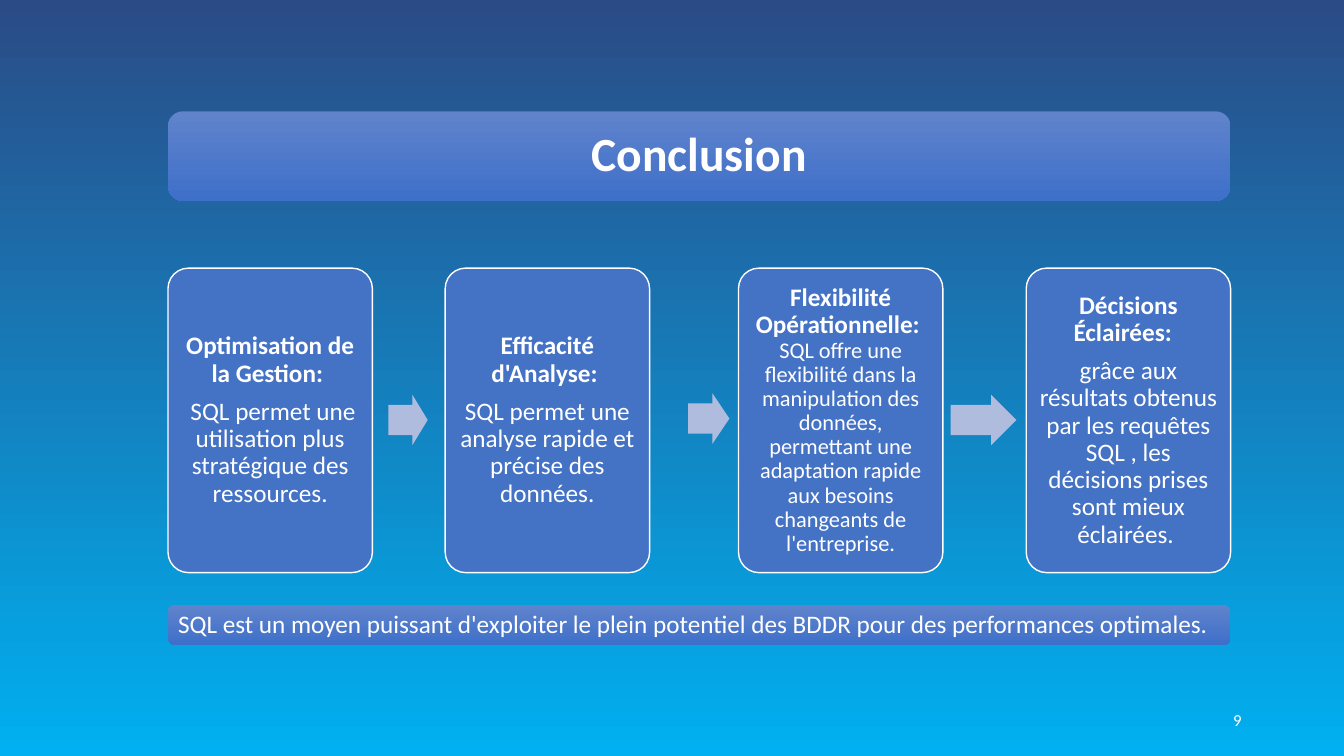
from pptx import Presentation
from pptx.dml.color import RGBColor
from pptx.enum.shapes import MSO_SHAPE
from pptx.enum.text import MSO_ANCHOR, PP_ALIGN
from pptx.util import Pt

ROUNDED = MSO_SHAPE.ROUNDED_RECTANGLE
RIGHT_ARROW = MSO_SHAPE.RIGHT_ARROW
MIDDLE = MSO_ANCHOR.MIDDLE
LEFT, CENTER, RIGHT = PP_ALIGN.LEFT, PP_ALIGN.CENTER, PP_ALIGN.RIGHT

WHITE = RGBColor(0xFF, 0xFF, 0xFF)
NAVY = RGBColor(0x2A, 0x4B, 0x86)
SKY = RGBColor(0x00, 0xB0, 0xF0)
BAR_TOP = RGBColor(0x60, 0x83, 0xCB)
BAR_BOTTOM = RGBColor(0x3E, 0x70, 0xCA)
CARD_BLUE = RGBColor(0x44, 0x72, 0xC4)
ARROW_BLUE = RGBColor(0xB0, 0xBC, 0xDE)

FONT = "Calibri"
MARGIN, BAR_WIDTH = 120, 759
CARD_TOP, CARD_WIDTH, CARD_HEIGHT = 191.5, 146, 217.5
ARROW_HEIGHT = 36

CARDS = [
    (120, [[("Optimisation de la Gestion: ", 18, True)],
           [(" SQL permet une utilisation plus stratégique des ressources.", 18, False)]]),
    (318, [[("Efficacité d'Analyse: ", 18, True)],
           [("SQL permet une analyse rapide et précise des données.", 18, False)]]),
    (527.5, [[("Flexibilité Opérationnelle:  ", 18, True),
              ("SQL offre une flexibilité dans la manipulation des données, "
               "permettant une adaptation rapide aux besoins changeants de "
               "l'entreprise.", 16, False)]]),
    (733, [[("Décisions Éclairées:  ", 18, True)],
           [("grâce aux résultats obtenus par les requêtes SQL , les décisions "
             "prises sont mieux éclairées. ", 18, False)]]),
]
ARROWS = [(277.5, 282, 28, 0.39), (491.5, 281, 29.5, 0.41), (679, 282, 47, 0.5)]


def fill_gradient(fill, top, bottom):
    fill.gradient()
    fill.gradient_angle = 270
    for stop, color in zip(fill.gradient_stops, (top, bottom)):
        stop.color.rgb = color


def write_text(sp, paragraphs, align, inset, space_after):
    tf = sp.text_frame
    tf.word_wrap = True
    tf.vertical_anchor = MIDDLE
    tf.margin_left = tf.margin_right = Pt(inset)
    tf.margin_top = tf.margin_bottom = Pt(inset)
    for i, runs in enumerate(paragraphs):
        p = tf.add_paragraph() if i else tf.paragraphs[0]
        p.alignment = align
        p.line_spacing = 0.9
        p.space_after = Pt(space_after)
        p.font.name = FONT
        p.font.color.rgb = WHITE
        for text, size, bold in runs:
            r = p.add_run()
            r.text = text
            r.font.size = Pt(size)
            r.font.bold = bold


def add_rounded(s, left, top, width, height, radius):
    sp = s.shapes.add_shape(ROUNDED, Pt(left), Pt(top), Pt(width), Pt(height))
    sp.shadow.inherit = False
    sp.adjustments[0] = radius / min(width, height)
    return sp


def add_bar(s, top, height, radius, run, align, inset, space_after):
    sp = add_rounded(s, MARGIN, top, BAR_WIDTH, height, radius)
    fill_gradient(sp.fill, BAR_TOP, BAR_BOTTOM)
    sp.line.fill.background()
    write_text(sp, [[run]], align, inset, space_after)


def add_card(s, left, paragraphs):
    sp = add_rounded(s, left, CARD_TOP, CARD_WIDTH, CARD_HEIGHT, 14.6)
    sp.fill.solid()
    sp.fill.fore_color.rgb = CARD_BLUE
    sp.line.color.rgb = WHITE
    sp.line.width = Pt(1)
    write_text(sp, paragraphs, CENTER, 5, 8)


def add_arrow(s, left, top, width, head):
    sp = s.shapes.add_shape(RIGHT_ARROW, Pt(left), Pt(top), Pt(width), Pt(ARROW_HEIGHT))
    sp.shadow.inherit = False
    sp.adjustments[0] = 0.6
    sp.adjustments[1] = head
    sp.fill.solid()
    sp.fill.fore_color.rgb = ARROW_BLUE
    sp.line.fill.background()


def add_page_number(s, number):
    sp = s.shapes.add_textbox(Pt(678), Pt(500.5), Pt(216), Pt(28.8))
    write_text(sp, [[(number, 12, False)]], RIGHT, 7.2, 0)


def main():
    prs = Presentation()
    prs.slide_width, prs.slide_height = Pt(960), Pt(540)
    s = prs.slides.add_slide(prs.slide_layouts[6])
    fill_gradient(s.background.fill, NAVY, SKY)
    add_bar(s, 79.5, 64, 10.7, ("Conclusion", 34, True), CENTER, 10.5, 14)
    for left, paragraphs in CARDS:
        add_card(s, left, paragraphs)
    for arrow in ARROWS:
        add_arrow(s, *arrow)
    closing = ("SQL est un moyen puissant d'exploiter le plein potentiel des BDDR "
               "pour des performances optimales.")
    add_bar(s, 432, 28.8, 4.8, (closing, 18, False), LEFT, 5.8, 8)
    add_page_number(s, "9")
    prs.save("out.pptx")


if __name__ == "__main__":
    main()
